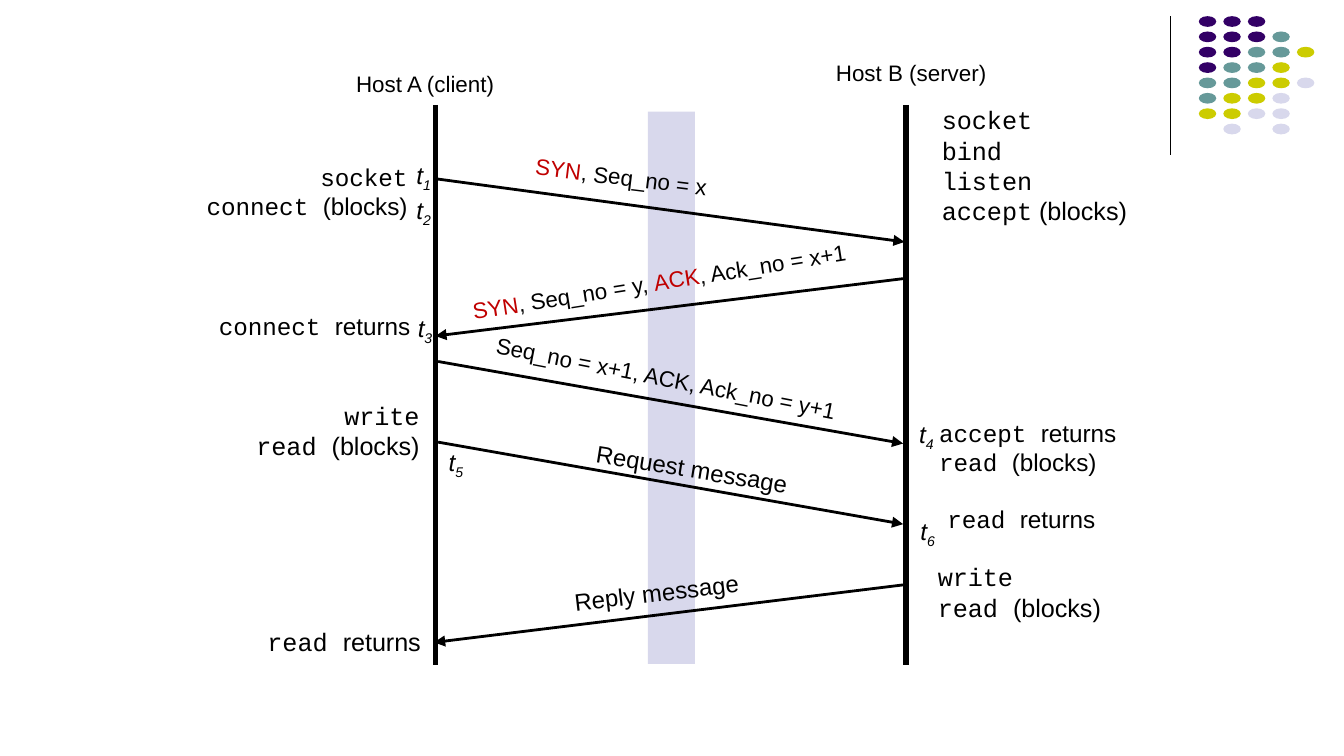
import pptx
import pptx.util
import pptx.dml.color
import pptx.enum.shapes
import pptx.enum.text
import pptx.oxml.ns
import lxml.etree

Inches = pptx.util.Inches
RGBColor = pptx.dml.color.RGBColor
SHAPE = pptx.enum.shapes.MSO_SHAPE
ALIGN = pptx.enum.text.PP_ALIGN

BLACK = RGBColor(0x00, 0x00, 0x00)
RED = RGBColor(0xC0, 0x00, 0x00)
PURPLE = RGBColor(0x33, 0x00, 0x66)
TEAL = RGBColor(0x66, 0x99, 0x99)
YELLOW = RGBColor(0xCC, 0xCC, 0x00)
LAVENDER = RGBColor(0xD8, 0xD8, 0xEC)
SANS = "Arial"
MONO = "Courier New"

prs = pptx.Presentation()
prs.slide_width = Inches(10)
prs.slide_height = Inches(10) * 9 // 16
s = prs.slides.add_slide(prs.slide_layouts[6])


def add_text(paragraphs, at, size=13, align=ALIGN.LEFT, inset=True, wrap=True,
             rotation=0, italic=False):
    sp = s.shapes.add_textbox(*[Inches(v) for v in at])
    sp.rotation = rotation
    tf = sp.text_frame
    tf.word_wrap = wrap
    if not inset:
        tf.margin_left = tf.margin_right = tf.margin_top = tf.margin_bottom = 0
    for i, runs in enumerate(paragraphs):
        p = tf.paragraphs[0] if i == 0 else tf.add_paragraph()
        p.alignment = align
        for text, font, color, baseline in runs:
            r = p.add_run()
            r.text = text
            r.font.name = font
            r.font.size = pptx.util.Pt(size)
            r.font.italic = italic
            r.font.color.rgb = color
            if baseline:
                r._r.get_or_add_rPr().set("baseline", str(baseline))


def add_line(start, end, width, arrow=False):
    sp = s.shapes.add_connector(pptx.enum.shapes.MSO_CONNECTOR.STRAIGHT,
                                *[Inches(v) for v in start + end])
    sp.line.color.rgb = BLACK
    sp.line.width = pptx.util.Pt(width)
    if arrow:
        lxml.etree.SubElement(sp.line._get_or_add_ln(),
                              pptx.oxml.ns.qn("a:tailEnd"), type="triangle")
    lxml.etree.SubElement(sp._element.spPr, pptx.oxml.ns.qn("a:effectLst"))


add_line((8.71, 0.12), (8.71, 1.15), 0.75)

dot_colors = {"P": PURPLE, "T": TEAL, "Y": YELLOW, "L": LAVENDER}
dot_rows = ["PPP", "PPPT", "PPTTY", "PTTY", "TTYYL", "TYYL", "YYLL", " L L"]
shapes = []
for row, dots in enumerate(dot_rows):
    for col, dot in enumerate(dots):
        if dot in dot_colors:
            at = (8.92 + 0.73 / 4 * col, 0.12 + 0.8 / 7 * row, 0.13, 0.08)
            shapes.append((SHAPE.OVAL, at, dot_colors[dot]))
shapes.append((SHAPE.RECTANGLE, (4.82, 0.83, 0.35, 4.11), LAVENDER))
for kind, at, color in shapes:
    sp = s.shapes.add_shape(kind, *[Inches(v) for v in at])
    sp.shadow.inherit = False
    sp.fill.solid()
    sp.fill.fore_color.rgb = color
    sp.line.fill.background()

for x in (3.24, 6.74):
    add_line((x, 0.78), (x, 4.95), 2.88)

messages = [
    ((3.24, 1.33), (6.73, 1.8)),
    ((6.75, 2.07), (3.24, 2.5)),
    ((3.26, 2.69), (6.72, 3.3)),
    ((3.26, 3.29), (6.72, 3.9)),
    ((6.74, 4.35), (3.23, 4.78)),
]
for start, end in messages:
    add_line(start, end, 1.5, arrow=True)

labels = [
    ([("Host A (client)", BLACK)], (2.65, 0.52, 1.1, 0.21), 0, 12),
    ([("Host B (server)", BLACK)], (6.22, 0.44, 1.2, 0.21), 0, 12),
    ([("SYN", RED), (", Seq_no = x", BLACK)], (3.98, 1.22, 1.38, 0.21), 7, 12),
    ([("SYN", RED), (", Seq_no = y, ", BLACK), ("ACK", RED), (", Ack_no = x+1", BLACK)],
     (3.5, 1.98, 3.01, 0.21), 351, 12),
    ([("Seq_no = x+1, ACK, Ack_no = y+1", BLACK)], (3.67, 2.73, 2.76, 0.21), 11, 12),
    ([("Request message", BLACK)], (4.43, 3.38, 1.44, 0.21), 9.1, 12.8),
    ([("Reply message", BLACK)], (4.27, 4.3, 1.24, 0.21), 353.4, 12.8),
]
for parts, at, rotation, size in labels:
    add_text([[(text, SANS, color, 0) for text, color in parts]], at, size=size,
             inset=False, wrap=False, rotation=rotation)

calls = [
    ([("socket", ""), ("bind", ""), ("listen", ""), ("accept", " (blocks)")],
     (6.91, 0.73, 1.6, 1.01), 13.5, ALIGN.LEFT),
    ([("accept ", "returns"), ("read ", "(blocks)")],
     (6.89, 3.06, 1.73, 0.56), 13, ALIGN.LEFT),
    ([("read ", "returns")], (6.95, 3.7, 1.73, 0.33), 13, ALIGN.LEFT),
    ([("write", ""), ("read ", "(blocks)")],
     (6.88, 4.13, 1.73, 0.56), 13.5, ALIGN.LEFT),
    ([("socket", ""), ("connect ", "(blocks)")],
     (1.4, 1.16, 1.73, 0.78), 13, ALIGN.RIGHT),
    ([("connect ", "returns")], (1.53, 2.27, 1.73, 0.33), 13, ALIGN.LEFT),
    ([("write", ""), ("read ", "(blocks)")],
     (1.49, 2.93, 1.73, 0.56), 13.5, ALIGN.RIGHT),
    ([("read ", "returns")], (1.5, 4.61, 1.73, 0.33), 13.5, ALIGN.RIGHT),
]
for lines, at, size, align in calls:
    paragraphs = [[(text, font, BLACK, 0) for text, font in zip(line, (MONO, SANS)) if text]
                  for line in lines]
    add_text(paragraphs, at, size=size, align=align)

times = [(3, 1.14), (3, 1.4), (3.01, 2.28), (6.74, 3.07), (3.24, 3.28), (6.75, 3.79)]
for number, (x, y) in enumerate(times, 1):
    add_text([[("t", SANS, BLACK, 0), (str(number), SANS, BLACK, -25000)]],
             (x, y, 0.38, 0.33), italic=True)

prs.save("out.pptx")
